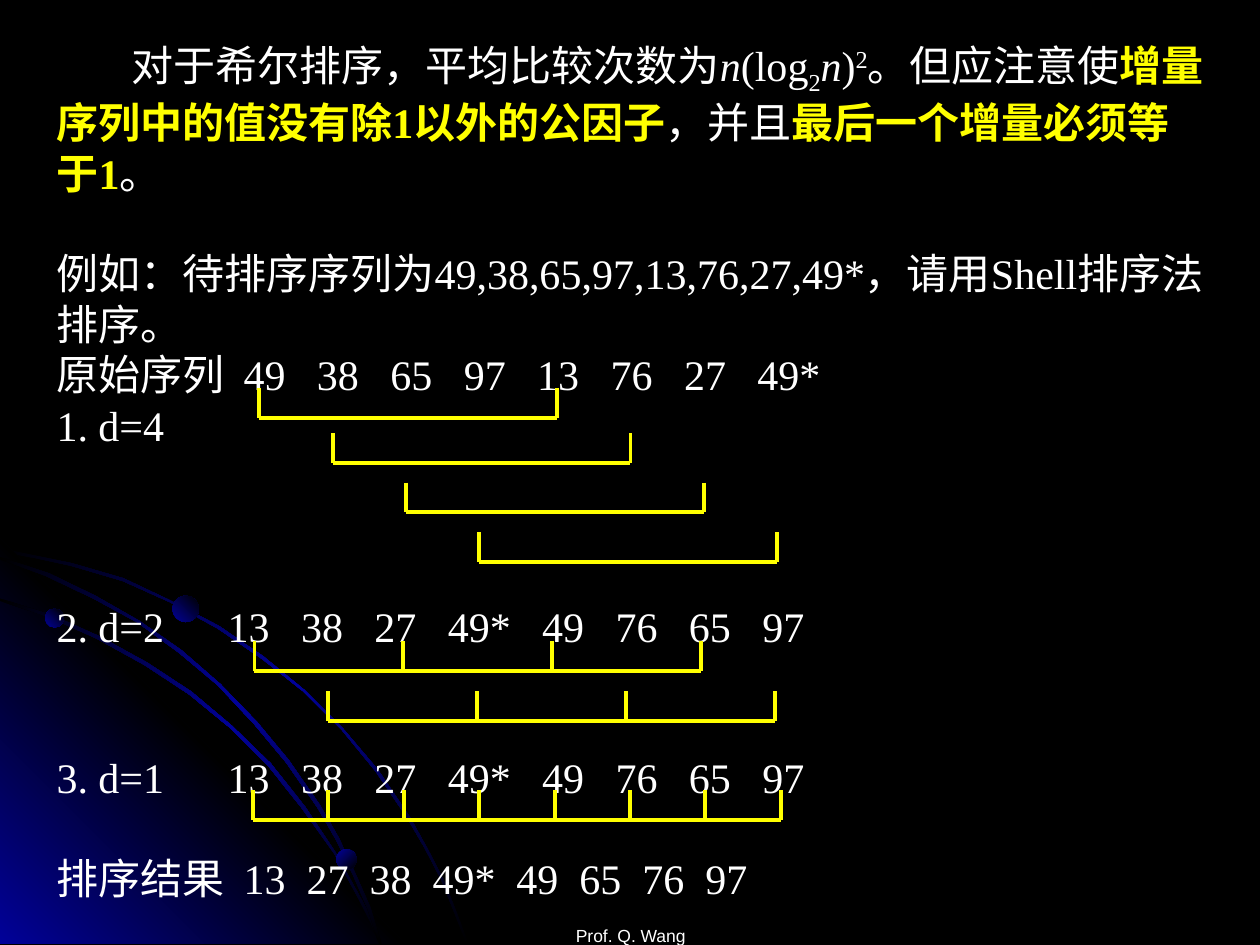
from dataclasses import dataclass

from lxml import etree
from pptx import Presentation
from pptx.dml.color import RGBColor
from pptx.enum.shapes import MSO_CONNECTOR, MSO_SHAPE
from pptx.enum.text import MSO_ANCHOR, PP_ALIGN
from pptx.oxml.ns import qn
from pptx.util import Cm, Pt

LINE, OVAL = MSO_CONNECTOR.STRAIGHT, MSO_SHAPE.OVAL
BOTTOM, CENTER = MSO_ANCHOR.BOTTOM, PP_ALIGN.CENTER

COLORS = {"black": "000000", "blue": "010199", "white": "FFFFFF", "yellow": "FFFF00"}
FADE_OUT = ("blue", "black")
GLOW = ("black", "blue", "black")
CORNER = ("blue", "black", "blue")
BODY_FONT, BODY_SIZE, LEADING = "Times New Roman", 24, 28.8
STAR_WIDTH = 0.42


@dataclass
class Outline:
    points: tuple  # hundredths of an inch
    stops: tuple
    angle: int


@dataclass
class Dot:
    x: float
    y: float
    size: float
    angle: int


@dataclass
class Span:
    text: str
    color: str = "white"
    bold: bool = False
    italic: bool = False
    baseline: int = 0


@dataclass
class Row:
    label: str
    values: str = ""
    start: float = 0
    pitch: float = 0
    skip: int = 0  # empty lines above


@dataclass
class Bracket:
    x: float
    y: float
    gap: float
    teeth: int


OUTLINES = [
    Outline(((57, 447), (28, 441), (0, 435), (0, 438), (28, 443), (56, 449), (97, 461),
             (135, 478), (173, 499), (208, 523), (241, 549), (271, 579), (298, 612),
             (323, 649), (337, 673), (350, 698), (360, 723), (370, 749), (372, 749),
             (362, 723), (352, 698), (339, 673), (325, 648), (300, 611), (272, 578),
             (242, 548), (209, 521), (174, 497), (136, 477), (98, 459)), GLOW, 45),
    Outline(((322, 749), (0, 749), (0, 427)), CORNER, 315),
    Outline(((285, 714), (294, 732), (301, 749), (303, 749), (296, 730), (286, 712),
             (266, 676), (242, 640), (215, 606), (184, 576), (152, 549), (117, 526),
             (79, 505), (41, 488), (0, 475), (0, 477), (39, 490), (77, 507), (115, 528),
             (150, 551), (183, 578), (213, 608), (240, 642), (265, 677)), GLOW, 45),
    Outline(((0, 442), (0, 444), (36, 457), (74, 475), (109, 494), (142, 518), (173, 544),
             (202, 575), (227, 605), (252, 641), (267, 667), (280, 694), (292, 722),
             (301, 749), (303, 749), (294, 720), (282, 693), (269, 665), (254, 639),
             (229, 603), (204, 573), (175, 543), (144, 516), (111, 493), (76, 473),
             (39, 455)), GLOW, 45),
]
DOTS = [Dot(0.91, 12.27, 0.38, 315), Dot(6.78, 17.12, 0.41, 45), Dot(3.48, 12.01, 0.53, 315)]

INTRO = [
    Span("对于希尔排序，平均比较次数为"), Span("n", italic=True), Span("(log"),
    Span("2", baseline=-25), Span("n", italic=True), Span(")"), Span("2", baseline=30),
    Span("。但应注意使"), Span("增量序列中的值没有除1以外的公因子", "yellow", True),
    Span("，并且"), Span("最后一个增量必须等于1", "yellow", True), Span("。"),
]
ROWS = [
    Row("例如：待排序序列为49,38,65,97,13,76,27,49*，请用Shell排序法排序。", skip=1),
    Row("原始序列", "49 38 65 97 13 76 27 49*", 3.77, 1.48),
    Row("1. d=4"),
    Row("2. d=2", "13 38 27 49* 49 76 65 97", 3.45, 1.48, skip=3),
    Row("3. d=1", "13 38 27 49* 49 76 65 97", 3.45, 1.48, skip=2),
    Row("排序结果", "13 27 38 49* 49 65 76 97", 3.77, 1.27, skip=1),
]
BRACKETS = [
    Bracket(5.23, 7.82, 6, 2), Bracket(6.71, 8.73, 6, 2),
    Bracket(8.19, 9.73, 6, 2), Bracket(9.66, 10.73, 6, 2),
    Bracket(5.13, 12.92, 3, 4), Bracket(6.62, 13.93, 3, 4),
    Bracket(5.1, 15.93, 1.52, 8),
]


def rgb(name: str) -> RGBColor:
    return RGBColor.from_string(COLORS[name])


def paint_gradient(sp, stops: tuple, angle: int) -> None:
    sp.shadow.inherit = False
    sp.line.fill.background()
    sp.fill.gradient()
    grad = sp._element.spPr.find(qn("a:gradFill"))
    gs_list = grad.find(qn("a:gsLst"))
    for old in list(gs_list):
        gs_list.remove(old)
    for i, name in enumerate(stops):
        gs = etree.SubElement(gs_list, qn("a:gs"), pos=str(100000 * i // (len(stops) - 1)))
        etree.SubElement(gs, qn("a:srgbClr"), val=COLORS[name])
    grad.find(qn("a:lin")).set("ang", str(angle * 60000))


def draw_outline(s, outline: Outline) -> None:
    first, *rest = outline.points
    builder = s.shapes.build_freeform(*first, scale=Cm(2.54) / 100)
    builder.add_line_segments(rest, close=True)
    paint_gradient(builder.convert_to_shape(), outline.stops, outline.angle)


def draw_dot(s, dot: Dot) -> None:
    sp = s.shapes.add_shape(OVAL, Cm(dot.x), Cm(dot.y), Cm(dot.size), Cm(dot.size))
    paint_gradient(sp, FADE_OUT, dot.angle)


def add_span(p, span: Span, font: str = BODY_FONT, size: int = BODY_SIZE) -> None:
    r = p.add_run()
    r.text = span.text
    r.font.name, r.font.size = font, Pt(size)
    r.font.bold, r.font.italic = span.bold, span.italic
    r.font.color.rgb = rgb(span.color)
    if span.baseline:
        r.font._element.set("baseline", str(span.baseline * 1000))


def add_row(tf, row: Row) -> None:
    p = tf.add_paragraph()
    values = row.values.split()
    tabs = etree.SubElement(p._p.get_or_add_pPr(), qn("a:tabLst"))
    x = row.start
    for value in values:
        etree.SubElement(tabs, qn("a:tab"), pos=str(Cm(x)), algn="l")
        x += row.pitch + STAR_WIDTH * value.count("*")
    p.line_spacing = Pt(LEADING)
    p.space_before = Pt(LEADING * row.skip)
    add_span(p, Span("\t".join([row.label, *values])))


def draw_line(group, x1: float, y1: float, x2: float, y2: float) -> None:
    line = group.shapes.add_connector(LINE, Cm(x1), Cm(y1), Cm(x2), Cm(y2))
    line.line.color.rgb = rgb("yellow")
    line.line.width = Pt(2.25)
    etree.SubElement(line._element.spPr, qn("a:effectLst"))


def draw_bracket(s, b: Bracket, height: float = 0.6) -> None:
    group = s.shapes.add_group_shape()
    base = b.y + height
    draw_line(group, b.x, base, b.x + b.gap * (b.teeth - 1), base)
    for i in range(b.teeth):
        x = b.x + b.gap * i
        draw_line(group, x, b.y, x, base)


def main() -> None:
    prs = Presentation()
    prs.slide_width, prs.slide_height = Cm(25.4), Cm(19.05)
    s = prs.slides.add_slide(prs.slide_layouts[6])
    s.background.fill.solid()
    s.background.fill.fore_color.rgb = rgb("black")

    # Backdrop of glowing arcs
    for outline in OUTLINES:
        draw_outline(s, outline)
    for dot in DOTS:
        draw_dot(s, dot)

    # Footer
    tf = s.shapes.add_textbox(Cm(8.69), Cm(17.81), Cm(8.05), Cm(1.27)).text_frame
    tf.word_wrap, tf.vertical_anchor, tf.margin_bottom = True, BOTTOM, 0
    tf.paragraphs[0].alignment = CENTER
    add_span(tf.paragraphs[0], Span("Prof. Q. Wang"), "Arial", 10)

    # Explanation and sorting passes
    tf = s.shapes.add_textbox(Cm(0.89), Cm(0.81), Cm(23.65), Cm(17.68)).text_frame
    tf.word_wrap = True
    p = tf.paragraphs[0]
    p.line_spacing = Pt(LEADING)
    p._p.get_or_add_pPr().set("indent", str(Cm(1.52)))
    for span in INTRO:
        add_span(p, span)
    for row in ROWS:
        add_row(tf, row)

    # Brackets joining the compared numbers
    for bracket in BRACKETS:
        draw_bracket(s, bracket)

    prs.save("out.pptx")


if __name__ == "__main__":
    main()
